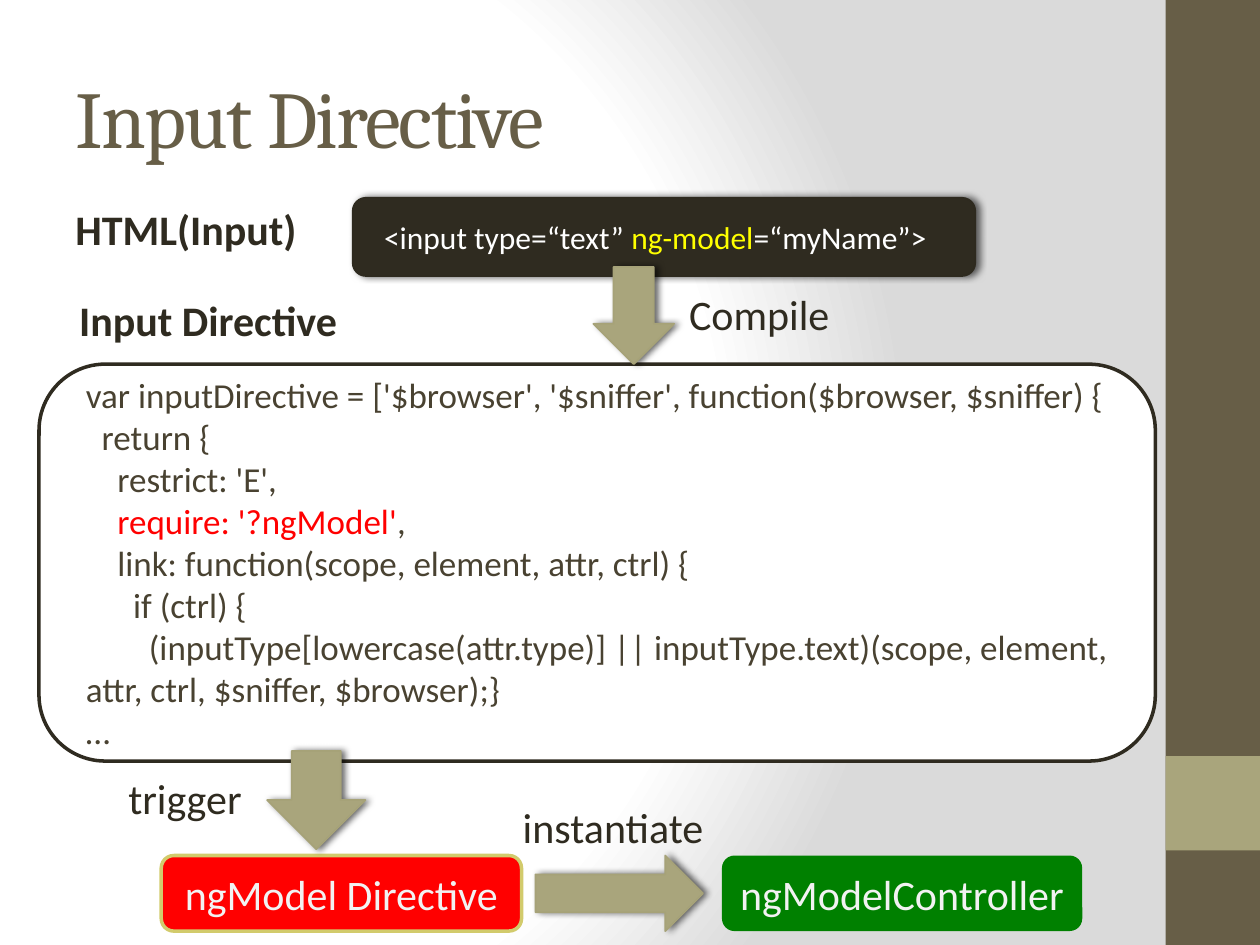
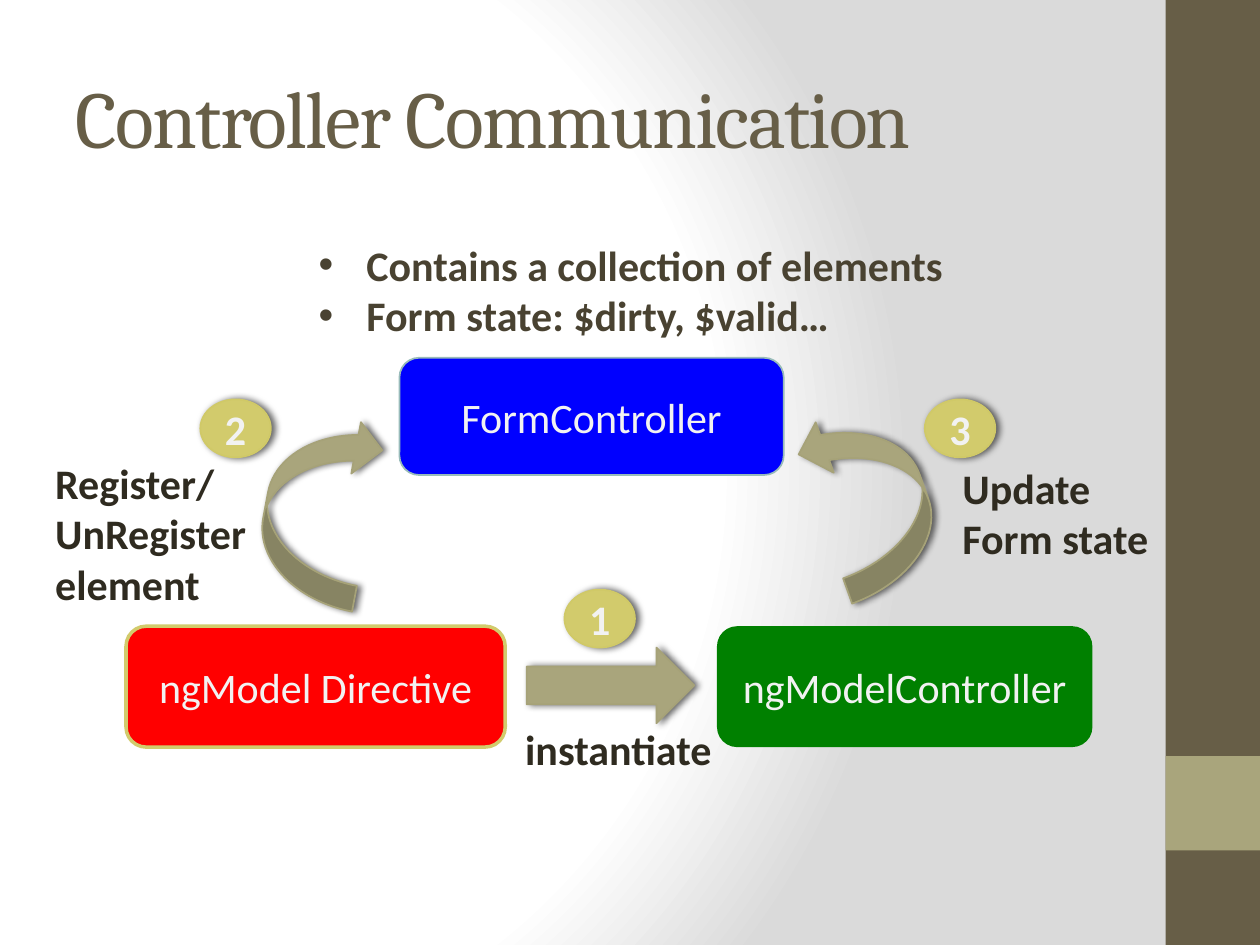
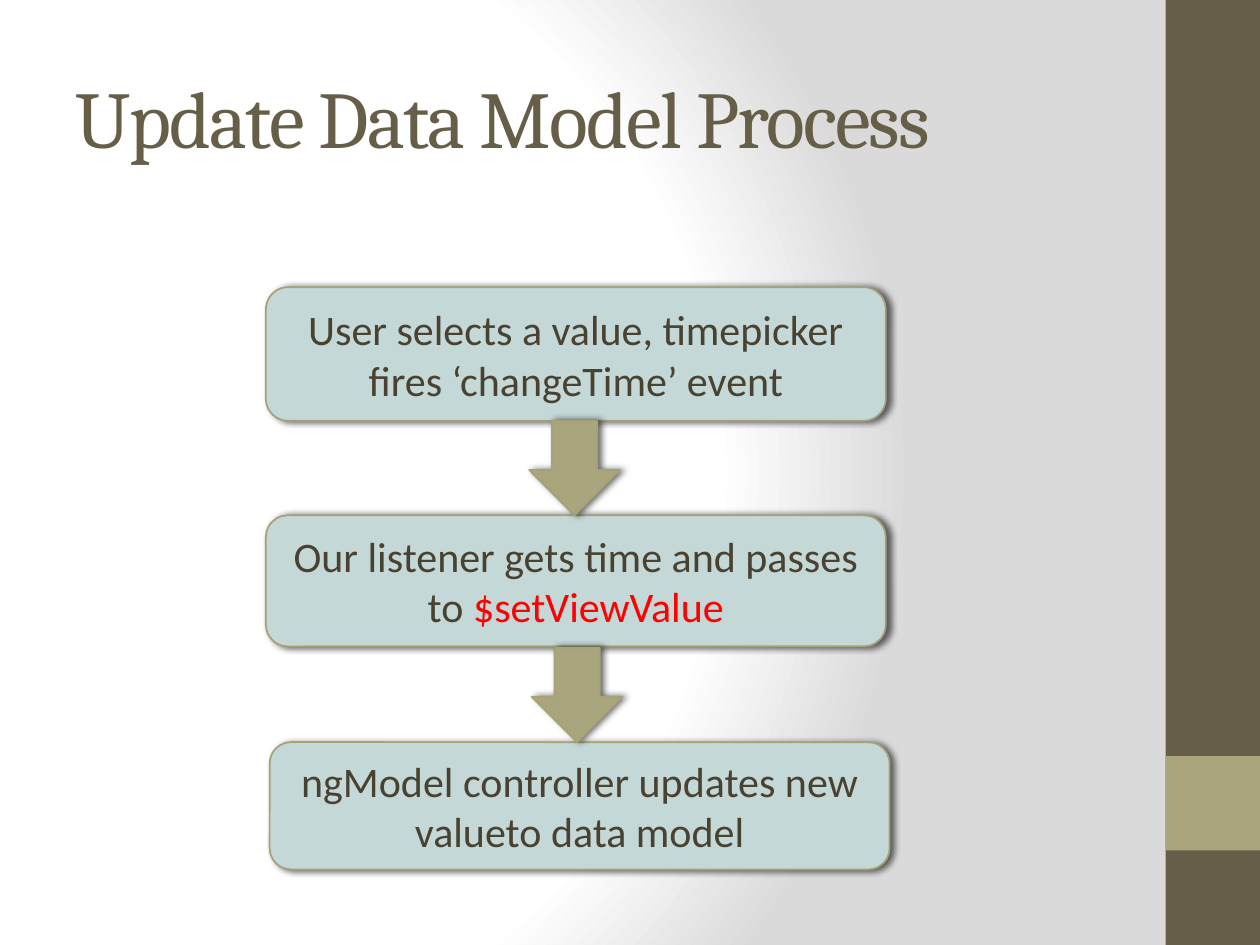
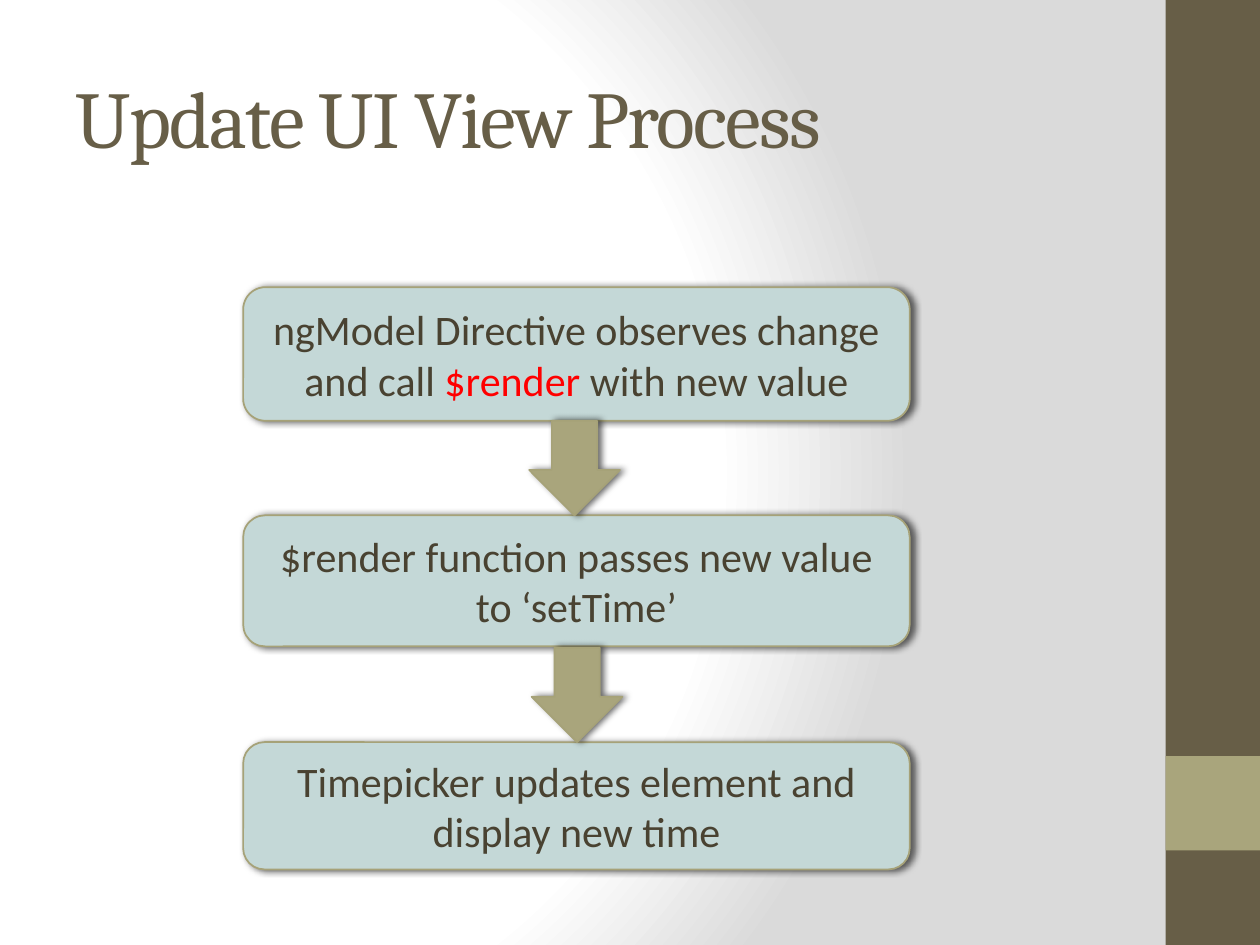
from dataclasses import dataclass

from pptx import Presentation, oxml
from pptx.dml.color import RGBColor
from pptx.enum import shapes, text
from pptx.oxml import ns
from pptx.util import Inches, Pt


@dataclass(frozen=True)
class Theme:
    """Colours, fonts and type sizes of the deck."""
    brown: str = "675E47"
    olive: str = "A9A57C"
    olive_edge: str = "A6A278"
    dark: str = "2F2B20"
    dark_edge: str = "2E2A1F"
    ink: str = "494231"
    white: str = "FFFFFF"
    pale: str = "F2F2F2"
    grey: str = "DADADA"
    red: str = "FF0000"
    green: str = "008000"
    blue: str = "0000FF"
    blue_edge: str = "98BBBA"
    yellow: str = "FFFF00"
    gold: str = "D2CB6C"
    gold_edge: str = "D0C967"
    mist: str = "C4D8D7"
    title_font: str = "Cambria"
    body_font: str = "Calibri"
    title_size: int = 46
    body_size: int = 24
    code_size: int = 20
    tag_size: int = 18


theme = Theme()
Kind = shapes.MSO_SHAPE
Align = text.PP_ALIGN
DRAWING = ns.nsdecls("a")
SHADOW = (f'<a:effectLst {DRAWING}><a:outerShdw blurRad="50800" dist="25400" dir="0">'
          '<a:srgbClr val="000000"><a:alpha val="60000"/></a:srgbClr>'
          '</a:outerShdw></a:effectLst>')


def add_box(page, kind, place, fill, edge=None, width=1, shadow=False):
    """Add a preset shape at place (left, top, width, height in inches)."""
    box = page.shapes.add_shape(kind, *map(Inches, place))
    box.shadow.inherit = False
    box.fill.solid()
    box.fill.fore_color.rgb = RGBColor.from_string(fill)
    if edge:
        box.line.color.rgb = RGBColor.from_string(edge)
        box.line.width = Pt(width)
    else:
        box.line.fill.background()
    if shadow:
        properties = box.element.spPr
        effects = properties.find(ns.qn("a:effectLst"))
        properties.replace(effects, oxml.parse_xml(SHADOW))
    return box


def write(box, lines, color, size=theme.body_size, bold=False, align=Align.LEFT):
    """Fill a box with lines, each a string or a list of (text, colour) spans."""
    frame = box.text_frame
    frame.word_wrap = True
    for number, line in enumerate(lines):
        para = frame.add_paragraph() if number else frame.paragraphs[0]
        para.alignment = align
        for words, tint in [(line, color)] if isinstance(line, str) else line:
            span = para.add_run()
            span.text = words
            span.font.name = theme.body_font
            span.font.size = Pt(size)
            span.font.bold = bold
            span.font.color.rgb = RGBColor.from_string(tint)
    return frame.paragraphs


deck = Presentation()
deck.slide_width, deck.slide_height = Inches(10), Inches(7.5)
master = deck.slide_master
layout = deck.slide_layouts.get_by_name("Title Only")

# Master: background, title style and side bands
master.background.fill.solid()
plain = master.element.find(f".//{ns.qn('p:bgPr')}/{ns.qn('a:solidFill')}")
stops = "".join(
    f'<a:gs pos="{place * 1000}"><a:srgbClr val="{color}"/></a:gs>'
    for place, color in ((0, theme.white), (75, theme.white), (100, theme.grey)))
plain.getparent().replace(plain, oxml.parse_xml(
    f'<a:gradFill {DRAWING} rotWithShape="1"><a:gsLst>{stops}</a:gsLst><a:path path="circle">'
    '<a:fillToRect l="20000" t="50000" r="100000" b="50000"/></a:path></a:gradFill>'))

title_style = master.element.find(f".//{ns.qn('p:titleStyle')}/{ns.qn('a:lvl1pPr')}")
title_style.set("algn", "l")
letters = title_style.find(ns.qn("a:defRPr"))
letters.set("sz", str(theme.title_size * 100))
letters.set("spc", "-100")
letters.find(ns.qn("a:latin")).set("typeface", theme.title_font)
letters.replace(letters.find(ns.qn("a:solidFill")), oxml.parse_xml(
    f'<a:solidFill {DRAWING}><a:srgbClr val="{theme.brown}"/></a:solidFill>'))
heading = master.placeholders[0]
heading.left, heading.top, heading.width, heading.height = map(Inches, (0.5, 0.3, 8.33, 1.25))

pages = []
for title in ("Input Directive", "Controller Communication",
              "Update Data Model Process", "Update UI View Process"):
    page = deck.slides.add_slide(layout)
    page.shapes.title.text_frame.text = title
    pages.append(page)
directive_page, controller_page, *process_pages = pages

bands = ((0, 7.5, theme.brown), (6, 0.75, theme.olive))
for position, (top, height, color) in enumerate(bands, start=2):
    band = add_box(directive_page, Kind.RECTANGLE, (9.25, top, 0.75, height), color)
    master.shapes.element.insert(position, band.element)

# Slide 1: code of the directive
code = (
    (0, "var inputDirective = ['$browser', '$sniffer', function($browser, $sniffer) {"),
    (1, "return {"),
    (2, "restrict: 'E',"),
    (2, [("require: '?ngModel'", theme.red), (",", theme.ink)]),
    (2, "link: function(scope, element, attr, ctrl) {"),
    (3, "if (ctrl) {"),
    (4, "(inputType[lowercase(attr.type)] || inputType.text)"
        "(scope, element, attr, ctrl, $sniffer, $browser);}"),
    (0, "…"),
)
code_box = add_box(directive_page, Kind.ROUNDED_RECTANGLE, (0.31, 2.89, 8.86, 3.15),
                   theme.white, theme.dark, 2)
code_paras = write(code_box, [line for depth, line in code], theme.ink, theme.code_size)
for para, (depth, line) in zip(code_paras, code):
    margins = para._p.get_or_add_pPr()
    margins.set("marL", str(Inches(0.12)))
    margins.set("indent", str(Inches(0.125 * depth)))

tag_box = add_box(directive_page, Kind.ROUNDED_RECTANGLE, (2.8, 1.57, 4.94, 0.62),
                  theme.dark, theme.dark_edge, shadow=True)
tag = [("<input type=“text” ", theme.white), ("ng-model", theme.yellow),
       ("=“myName”>", theme.white)]
tag_para = write(tag_box, [tag], theme.white, theme.tag_size)[0]
tag_para._p.get_or_add_pPr().set("marL", str(Inches(0.12)))

# Slides 1 and 2: controllers, arrows, labels
controllers = (
    (directive_page, "ngModel Directive", (1.28, 6.79, 2.86, 0.6), theme.red, theme.gold, 2),
    (directive_page, "ngModelController", (5.73, 6.79, 2.86, 0.6), theme.green, None, 0),
    (controller_page, "FormController", (3.17, 2.84, 3.05, 0.93), theme.blue, theme.blue_edge, 1),
    (controller_page, "ngModel Directive", (1, 4.97, 3.01, 0.96), theme.red, theme.gold, 2),
    (controller_page, "ngModelController", (5.69, 4.97, 2.98, 0.96), theme.green, None, 0),
)
for page, name, place, fill, edge, width in controllers:
    box = add_box(page, Kind.ROUNDED_RECTANGLE, place, fill, edge, width)
    write(box, [name], theme.pale, align=Align.CENTER)

arrows = [
    (directive_page, Kind.DOWN_ARROW, (4.71, 2.12, 0.64, 0.77), 0),
    (directive_page, Kind.DOWN_ARROW, (2.12, 5.96, 0.78, 0.78), 0),
    (directive_page, Kind.RIGHT_ARROW, (4.25, 6.79, 1.33, 0.6), 0),
    (controller_page, Kind.CURVED_RIGHT_ARROW, (6.49, 3.22, 0.85, 1.47), 160.3),
    (controller_page, Kind.CURVED_LEFT_ARROW, (2.11, 3.28, 0.83, 1.51), 190.6),
    (controller_page, Kind.RIGHT_ARROW, (4.18, 5.14, 1.33, 0.6), 0),
]
for page in process_pages:
    arrows += [(page, Kind.DOWN_ARROW, (4.2, 3.34, 0.72, 0.75), 0),
               (page, Kind.DOWN_ARROW, (4.22, 5.14, 0.72, 0.75), 0)]

labels = (
    (directive_page, ["HTML(Input)"], (0.5, 1.57, 2.3, 0.5), True),
    (directive_page, ["Input Directive"], (0.53, 2.29, 2.94, 0.5), True),
    (directive_page, ["instantiate"], (4.05, 6.31, 1.92, 0.5), False),
    (directive_page, ["Compile"], (5.37, 2.24, 1.92, 0.5), False),
    (directive_page, ["trigger"], (0.92, 6.08, 1.29, 0.5), False),
    (controller_page, ["Register/UnRegister", "element"], (0.34, 3.58, 1.8, 1.31), True),
    (controller_page, ["Update Form state"], (7.54, 3.62, 1.87, 0.91), True),
    (controller_page, ["instantiate"], (4.07, 5.69, 1.92, 0.5), True),
)
for page, lines, place, bold in labels:
    box = page.shapes.add_textbox(*map(Inches, place))
    write(box, lines, theme.dark, bold=bold)
    box.text_frame.auto_size = text.MSO_AUTO_SIZE.SHAPE_TO_FIT_TEXT

# Slide 2: form notes and step numbers
notes_box = controller_page.shapes.add_textbox(*map(Inches, (1.81, 1.85, 6.05, 0.91)))
notes = ["Contains a collection of elements", "Form state: $dirty, $valid…"]
for para in write(notes_box, notes, theme.ink, bold=True):
    para.level = 1
    margins = para._p.get_or_add_pPr()
    margins.set("marL", str(Inches(1)))
    margins.set("indent", str(Inches(-0.38)))
    margins.append(oxml.parse_xml(f'<a:buFont {DRAWING} typeface="Arial"/>'))
    margins.append(oxml.parse_xml(f'<a:buChar {DRAWING} char="•"/>'))
notes_box.text_frame.auto_size = text.MSO_AUTO_SIZE.SHAPE_TO_FIT_TEXT

for number, (left, top) in enumerate(((4.48, 4.68), (1.59, 3.17), (7.34, 3.17)), start=1):
    badge = add_box(controller_page, Kind.OVAL, (left, top, 0.56, 0.46),
                    theme.gold, theme.gold_edge, shadow=True)
    write(badge, [str(number)], theme.pale, bold=True, align=Align.CENTER)

# Slides 3 and 4: process steps
rows = ((2.28, 1.06), (4.09, 1.04), (5.89, 1.01))
model_steps = (
    "User selects a value, timepicker fires ‘changeTime’ event",
    [("Our listener gets time and passes to", theme.ink), (" $setViewValue", theme.red)],
    "ngModel controller updates new valueto data model",
)
view_steps = (
    [("ngModel Directive observes change and call", theme.ink),
     (" $render ", theme.red), ("with new value", theme.ink)],
    "$render function passes new value to ‘setTime’",
    "Timepicker updates element and display new time",
)
processes = ((model_steps, (2.11, 2.11, 2.14), 4.92), (view_steps, (1.93,) * 3, 5.29))
for page, (steps, lefts, width) in zip(process_pages, processes):
    for step, left, (top, height) in zip(steps, lefts, rows):
        box = add_box(page, Kind.ROUNDED_RECTANGLE, (left, top, width, height),
                      theme.mist, theme.olive_edge, shadow=True)
        write(box, [step], theme.ink, align=Align.CENTER)

for page, kind, place, turn in arrows:
    arrow = add_box(page, kind, place, theme.olive, theme.olive_edge, shadow=True)
    arrow.rotation = turn

deck.save("out.pptx")
